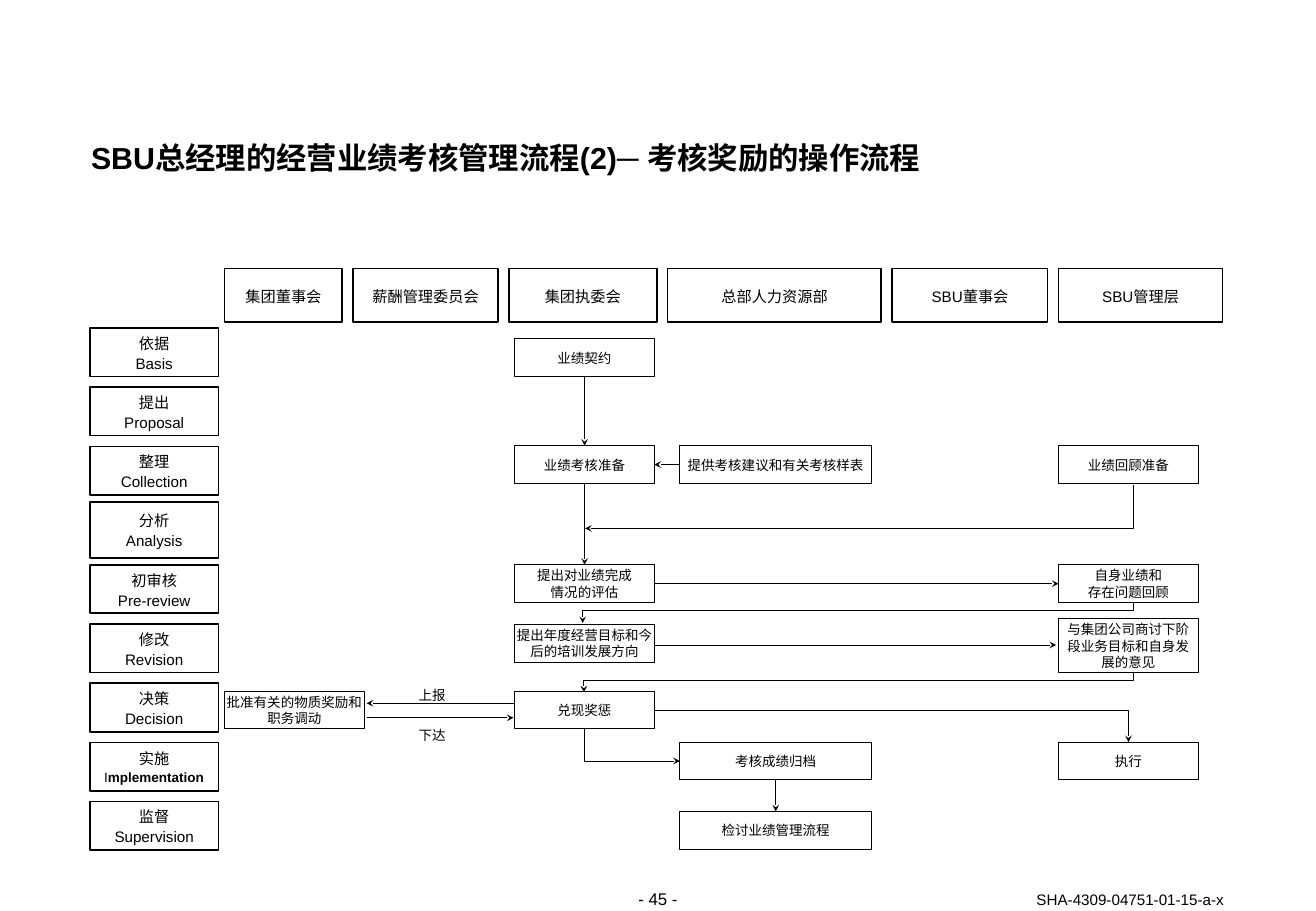
from dataclasses import dataclass

import pptx
import pptx.dml.color
import pptx.enum.shapes
import pptx.enum.text
import pptx.util
from pptx.oxml.ns import qn
from lxml import etree

Inches, Pt = pptx.util.Inches, pptx.util.Pt
ALIGN, ANCHOR = pptx.enum.text.PP_ALIGN, pptx.enum.text.MSO_ANCHOR
CONNECTOR = pptx.enum.shapes.MSO_CONNECTOR
TOP, LEFT, BOTTOM, RIGHT = range(4)


@dataclass(frozen=True)
class Theme:
    """Colours, type sizes and line widths of the slide."""
    ink: pptx.dml.color.RGBColor = pptx.dml.color.RGBColor(0, 0, 0)
    paper: pptx.dml.color.RGBColor = pptx.dml.color.RGBColor(255, 255, 255)
    font: str = "Arial"
    title: float = 18
    page: float = 10
    label: float = 9
    step: float = 8
    heavy: float = 1
    thin: float = 0.5


THEME = Theme()

LANES = [("集团董事会", 0.97), ("薪酬管理委员会", 1.19), ("集团执委会", 1.22),
         ("总部人力资源部", 1.76), ("SBU董事会", 1.28), ("SBU管理层", 1.35)]

STAGES = [("依据", "Basis"), ("提出", "Proposal"), ("整理", "Collection"),
          ("分析", "Analysis"), ("初审核", "Pre-review"), ("修改", "Revision"),
          ("决策", "Decision"), ("实施", "Implementation"), ("监督", "Supervision")]

COLUMNS = {"board": (0, 1.15), "committee": (2.39, 1.15),
           "hr": (3.75, 1.58), "management": (6.87, 1.15)}

STEPS = {
    "contract": ("committee", 0.09, 0.31, "业绩契约"),
    "preparation": ("committee", 0.97, 0.31, "业绩考核准备"),
    "assessment": ("committee", 1.95, 0.31, "提出对业绩完成\n情况的评估"),
    "targets": ("committee", 2.44, 0.31, "提出年度经营目标和今后的培训发展方向"),
    "rewards": ("committee", 2.99, 0.31, "兑现奖惩"),
    "approval": ("board", 2.99, 0.31, "批准有关的物质奖励和职务调动"),
    "advice": ("hr", 0.97, 0.31, "提供考核建议和有关考核样表"),
    "archive": ("hr", 3.41, 0.31, "考核成绩归档"),
    "discussion": ("hr", 3.98, 0.31, "检讨业绩管理流程"),
    "review": ("management", 0.97, 0.31, "业绩回顾准备"),
    "self_review": ("management", 1.95, 0.31, "自身业绩和\n存在问题回顾"),
    "consultation": ("management", 2.39, 0.45, "与集团公司商讨下阶\n段业务目标和自身发\n展的意见"),
    "execution": ("management", 3.41, 0.31, "执行"),
}

JOINS = [("contract", BOTTOM, "preparation", TOP), ("preparation", BOTTOM, "assessment", TOP),
         ("assessment", RIGHT, "self_review", LEFT), ("archive", BOTTOM, "discussion", TOP),
         ("advice", LEFT, "preparation", RIGHT)]

FREE_ARROWS = [(3.54, 2.61, 6.85, 2.61), (2.38, 3.09, 1.17, 3.09), (1.17, 3.21, 2.38, 3.21)]

RETURN_ROUTES = [
    [(7.49, 1.29), (7.49, 1.65), (2.97, 1.65)],
    [(7.49, 2.26), (7.49, 2.33), (2.95, 2.33), (2.95, 2.43)],
    [(7.49, 2.83), (7.49, 2.9), (2.96, 2.9), (2.96, 3)],
]


def write(shape, lines, size, align=ALIGN.CENTER, anchor=ANCHOR.MIDDLE,
          spacing=None, bold=None, insets=(0, 0)):
    """Fill a shape with paragraphs in the theme font."""
    frame = shape.text_frame
    frame.word_wrap, frame.vertical_anchor = True, anchor
    frame.margin_left = frame.margin_right = Inches(insets[0])
    frame.margin_top = frame.margin_bottom = Inches(insets[1])
    for index, line in enumerate(lines):
        paragraph = frame.add_paragraph() if index else frame.paragraphs[0]
        paragraph.text = line
        paragraph.alignment, paragraph.line_spacing = align, spacing
        paragraph.font.name, paragraph.font.size = THEME.font, Pt(size)
        paragraph.font.bold, paragraph.font.color.rgb = bold, THEME.ink


def add_text(slide, box, text, size, **style):
    """Place one line of text in a box."""
    write(slide.shapes.add_textbox(*map(Inches, box)), [text], size, **style)


def add_frame(slide, box, lines, size, weight, filled=False, **style):
    """Place an outlined rectangle with centred text."""
    rectangle = pptx.enum.shapes.MSO_SHAPE.RECTANGLE
    frame = slide.shapes.add_shape(rectangle, *map(Inches, box))
    frame.shadow.inherit = False
    if filled:
        frame.fill.solid()
        frame.fill.fore_color.rgb = THEME.paper
    else:
        frame.fill.background()
    frame.line.color.rgb, frame.line.width = THEME.ink, Pt(weight)
    write(frame, lines, size, **style)
    return frame


def point_arrow(arrow):
    """Style a thin line with a small arrowhead at its end and no shadow."""
    arrow.line.color.rgb, arrow.line.width = THEME.ink, Pt(THEME.thin)
    etree.SubElement(arrow.line._get_or_add_ln(), qn("a:tailEnd"),
                     type="stealth", w="sm", len="sm")
    etree.SubElement(arrow._element.spPr, qn("a:effectLst"))


def join(slide, kind, start, start_side, end, end_side):
    """Connect two steps with an arrow."""
    arrow = slide.shapes.add_connector(kind, 0, 0, 0, 0)
    arrow.begin_connect(start, start_side)
    arrow.end_connect(end, end_side)
    point_arrow(arrow)
    return arrow


def join_elbow(slide, start, start_side, end, end_side):
    """Connect two steps with a single right-angle turn."""
    arrow = join(slide, CONNECTOR.ELBOW, start, start_side, end, end_side)
    properties = arrow._element.spPr
    properties.find(qn("a:prstGeom")).set("prst", "bentConnector2")
    if start_side == BOTTOM:
        across, down = arrow.width, arrow.height
        arrow.left += (across - down) // 2
        arrow.top += (down - across) // 2
        arrow.width, arrow.height = down, across
        turn = properties.find(qn("a:xfrm"))
        turn.set("rot", "16200000")
        turn.set("flipH", "1")


def draw_lanes(slide, left, top, height=0.44, gap=0.09):
    """Draw the row of responsible bodies."""
    for name, width in LANES:
        add_frame(slide, (left, top, width, height), [name], THEME.label, THEME.heavy, spacing=1.1)
        left += width + gap


def draw_stages(slide, left, top, height):
    """Draw the column of process stages."""
    pitch = height / (len(STAGES) - 1)
    for row, names in enumerate(STAGES):
        extra = 0.03 if names[1] == "Analysis" else 0
        box = (left, top + row * pitch - extra, 1.06, 0.4 + 2 * extra)
        stage = add_frame(slide, box, names, THEME.label, THEME.heavy,
                          spacing=1.1, insets=(0.1, 0.05))
        if names[1] == "Implementation":
            english = stage.text_frame.paragraphs[1]
            english.font.size = Pt(THEME.step)
            english.runs[0].text = names[1][0]
            rest = english.add_run()
            rest.text, rest.font.bold = names[1][1:], True


def draw_flow(slide, left, top):
    """Draw the steps and the arrows between them."""
    steps = {}
    for key, (column, offset, height, text) in STEPS.items():
        indent, width = COLUMNS[column]
        steps[key] = add_frame(slide, (left + indent, top + offset, width, height),
                               [text], THEME.step, THEME.thin, filled=True)
    for start, start_side, end, end_side in JOINS:
        join(slide, CONNECTOR.STRAIGHT, steps[start], start_side, steps[end], end_side)
    join_elbow(slide, steps["rewards"], BOTTOM, steps["archive"], LEFT)
    join_elbow(slide, steps["rewards"], RIGHT, steps["execution"], TOP)
    for x1, y1, x2, y2 in FREE_ARROWS:
        ends = (left + x1, top + y1, left + x2, top + y2)
        point_arrow(slide.shapes.add_connector(CONNECTOR.STRAIGHT, *map(Inches, ends)))
    for route in RETURN_ROUTES:
        corners = [(Inches(left + x), Inches(top + y)) for x, y in route]
        builder = slide.shapes.build_freeform(*corners[0])
        builder.add_line_segments(corners[1:], close=False)
        outline = builder.convert_to_shape()
        outline.fill.background()
        point_arrow(outline)
    for text, offset in (("上报", 2.9), ("下达", 3.23)):
        add_text(slide, (left + 1.51, top + offset, 0.4, 0.19), text, THEME.step, spacing=Pt(14))


def draw_footer(slide, top):
    """Draw the page number and the document code."""
    add_text(slide, (4.85, top, 1.14, 0.17), "- 45 -", THEME.page, anchor=ANCHOR.TOP)
    add_text(slide, (7.64, top + 0.01, 2.44, 0.15), "SHA-4309-04751-01-15-a-x", THEME.label,
             align=ALIGN.RIGHT, anchor=ANCHOR.BOTTOM, spacing=Pt(11))


def main():
    """Build and save the slide."""
    deck = pptx.Presentation()
    deck.slide_width, deck.slide_height = Inches(10.84), Inches(7.5)
    slide = deck.slides.add_slide(deck.slide_layouts[6])
    add_text(slide, (0.75, 1.17, 9.33, 0.28), "SBU总经理的经营业绩考核管理流程(2)─ 考核奖励的操作流程",
             THEME.title, align=ALIGN.LEFT, anchor=ANCHOR.TOP, spacing=Pt(20), bold=True)
    draw_lanes(slide, 1.85, 2.21)
    draw_stages(slide, 0.74, 2.7, 3.9)
    draw_flow(slide, 1.85, 2.7)
    draw_footer(slide, 7.32)
    deck.save("out.pptx")


if __name__ == "__main__":
    main()
